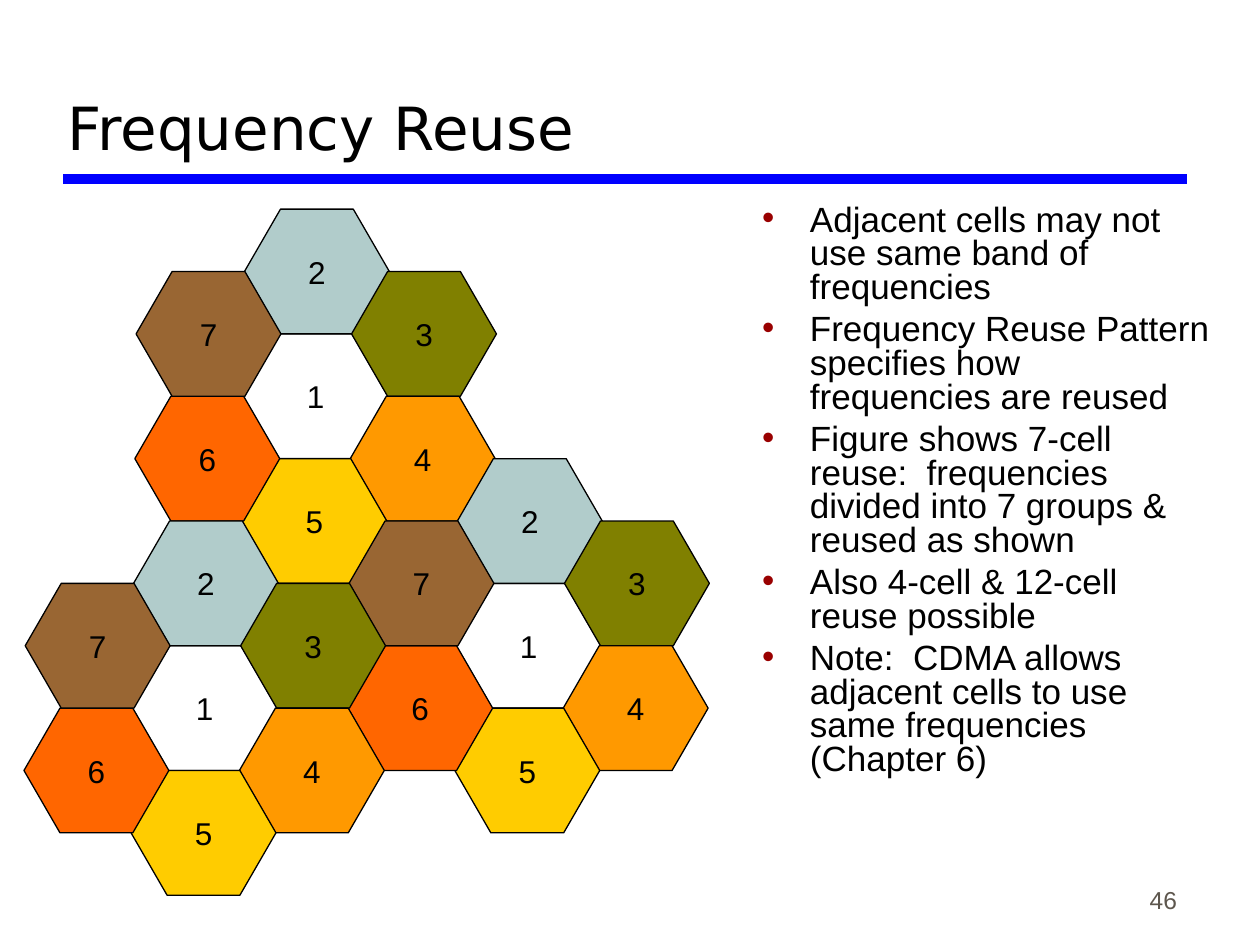
import pptx
import pptx.dml.color
import pptx.enum.shapes
import pptx.enum.text
import pptx.oxml
import pptx.oxml.ns
import pptx.util
from lxml import etree

ANCHOR = pptx.enum.text.MSO_ANCHOR
ALIGN = pptx.enum.text.PP_ALIGN

CELL_FILLS = {
    "1": None,
    "2": "B1CCCB",
    "3": "808000",
    "4": "FF9900",
    "5": "FFCC00",
    "6": "FF6600",
    "7": "996633",
}
CELL_OFFSETS = {
    "1": (0, 0),
    "2": (0, -2),
    "3": (1, -1),
    "4": (1, 1),
    "5": (0, 2),
    "6": (-1, 1),
    "7": (-1, -1),
}
CLUSTER_CENTRES = [(0, 0), (2, 4), (-1, 5)]
POINTS = [
    "Adjacent cells may not use same band of frequencies",
    "Frequency Reuse Pattern specifies how frequencies are reused",
    "Figure shows 7-cell reuse:  frequencies divided into 7 groups & reused as shown",
    "Also 4-cell & 12-cell reuse possible",
    "Note:  CDMA allows adjacent cells to use same frequencies (Chapter 6)",
]


def colour(value):
    return pptx.dml.color.RGBColor.from_string(value)


class SlideBuilder:
    """Draws styled elements on one slide, measured on a grid of 100 columns by 75 rows."""

    font = "Arial"
    ink = "000000"
    bullet_colour = "990000"

    def __init__(self, presentation):
        self.column = presentation.slide_width / 100
        self.row = presentation.slide_height / 75
        self.slide = presentation.slides.add_slide(presentation.slide_layouts[6])

    def place(self, left, top, width, height):
        return (
            round(left * self.column),
            round(top * self.row),
            round(width * self.column),
            round(height * self.row),
        )

    def add_text(self, paragraph, text, size, ink=None, font=None):
        run = paragraph.add_run()
        run.text = text
        run.font.size = pptx.util.Pt(size)
        run.font.name = font or self.font
        run.font.color.rgb = colour(ink or self.ink)

    def text_box(self, area, anchor=ANCHOR.TOP):
        frame = self.slide.shapes.add_textbox(*self.place(*area)).text_frame
        frame.word_wrap = True
        frame.vertical_anchor = anchor
        return frame

    def label(self, text, area, size, ink=None, font=None, align=ALIGN.LEFT):
        paragraph = self.text_box(area, ANCHOR.BOTTOM).paragraphs[0]
        paragraph.alignment = align
        self.add_text(paragraph, text, size, ink, font)

    def rule(self, left, right, top, line_colour, width):
        x, y, length, _ = self.place(left, top, right - left, 0)
        connector = self.slide.shapes.add_connector(
            pptx.enum.shapes.MSO_CONNECTOR.STRAIGHT, x, y, x + length, y
        )
        connector.line.color.rgb = colour(line_colour)
        connector.line.width = pptx.util.Pt(width)
        properties = connector._element.spPr
        etree.SubElement(properties, pptx.oxml.ns.qn("a:effectLst"))

    def cell(self, group, number, column, half_row):
        left = 19.3 + 8.55 * column - 0.05 * half_row
        top = 26.5 + 4.95 * half_row
        shape = group.shapes.add_shape(
            pptx.enum.shapes.MSO_SHAPE.HEXAGON, *self.place(left, top, 11.5, 9.9)
        )
        shape.adjustments[0] = 0.289
        shape.shadow.inherit = False
        fill = CELL_FILLS[number]
        if fill:
            shape.fill.solid()
            shape.fill.fore_color.rgb = colour(fill)
        else:
            shape.fill.background()
        shape.line.color.rgb = colour(self.ink)
        shape.line.width = pptx.util.Pt(0.75)
        frame = shape.text_frame
        frame.word_wrap = False
        frame.vertical_anchor = ANCHOR.MIDDLE
        paragraph = frame.paragraphs[0]
        paragraph.alignment = ALIGN.CENTER
        self.add_text(paragraph, number, 18)

    def cell_map(self):
        group = self.slide.shapes.add_group_shape()
        for centre_column, centre_row in CLUSTER_CENTRES:
            for number, (column, half_row) in CELL_OFFSETS.items():
                self.cell(group, number, centre_column + column, centre_row + half_row)

    def bullet(self, paragraph):
        properties = paragraph._p.get_or_add_pPr()
        indent = pptx.util.Inches(0.38)
        properties.set("marL", str(indent))
        properties.set("indent", str(-indent))
        namespace = pptx.oxml.ns.nsdecls("a")
        for markup in (
            f'<a:buClr {namespace}><a:srgbClr val="{self.bullet_colour}"/></a:buClr>',
            f'<a:buFont {namespace} typeface="{self.font}"/>',
            f'<a:buChar {namespace} char="•"/>',
        ):
            properties.append(pptx.oxml.parse_xml(markup))

    def bullet_list(self, points, area, size):
        frame = self.text_box(area)
        for index, point in enumerate(points):
            paragraph = frame.add_paragraph() if index else frame.paragraphs[0]
            self.bullet(paragraph)
            paragraph.line_spacing = 0.8
            paragraph.space_before = pptx.util.Pt(5 if index else 0)
            self.add_text(paragraph, point, size)


def main():
    presentation = pptx.Presentation()
    presentation.slide_width = pptx.util.Inches(10)
    presentation.slide_height = pptx.util.Inches(7.5)
    builder = SlideBuilder(presentation)
    builder.rule(5, 94.2, 14.2, "0000FF", 6)
    builder.label("46", (73.6, 68.1, 20.8, 5), 14, ink="5E574E", align=ALIGN.RIGHT)
    builder.cell_map()
    builder.label("Frequency Reuse", (4.4, 1.7, 89.7, 11.7), 34, font="DejaVu Sans")
    builder.bullet_list(POINTS, (59.5, 15.8, 37.6, 51.2), 20)
    presentation.save("out.pptx")


if __name__ == "__main__":
    main()
